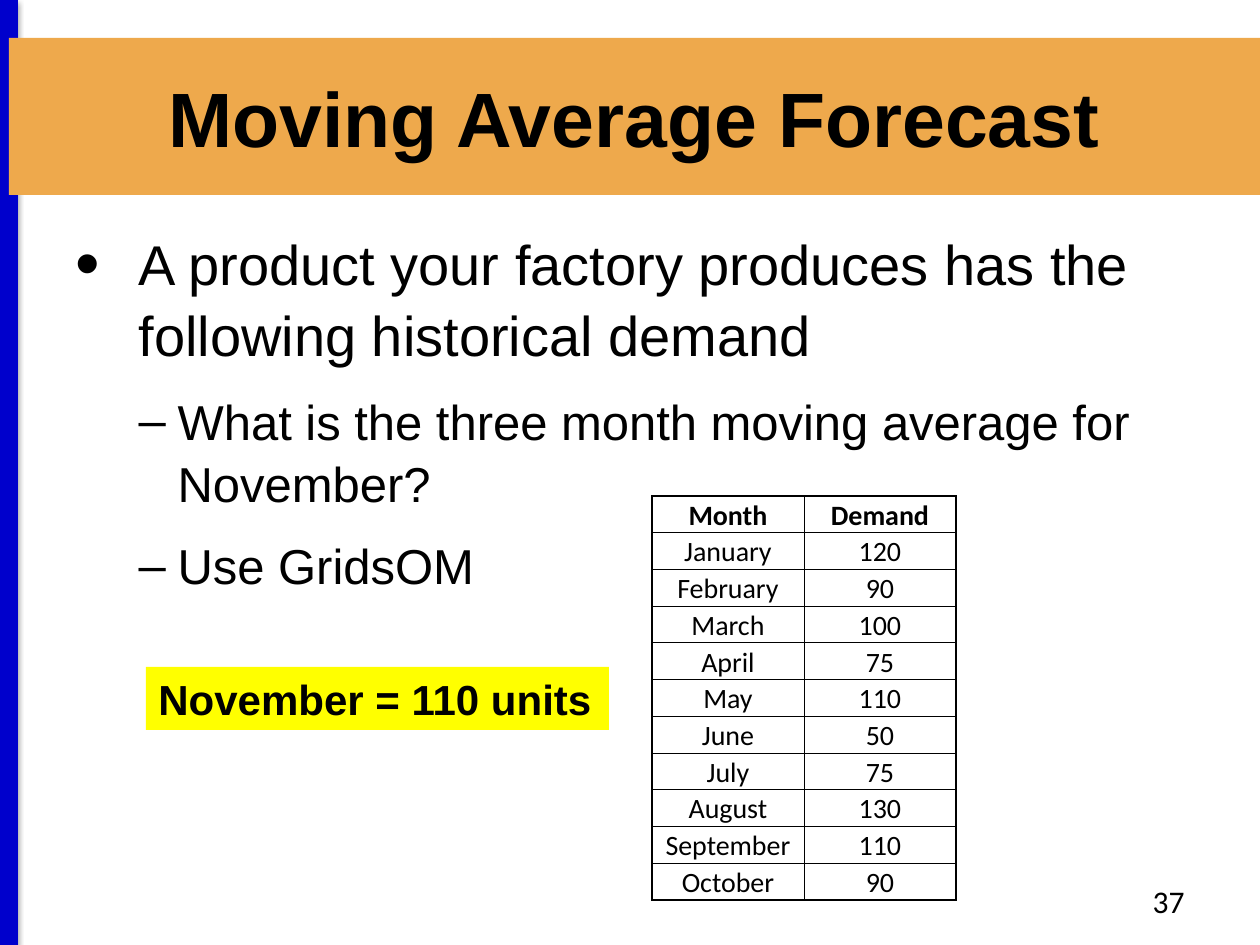
import lxml.etree
import pptx
import pptx.dml.color
import pptx.enum.shapes
import pptx.enum.text
import pptx.oxml.ns
import pptx.util

EMU_PER_PX = 914400 / 126
qn = pptx.oxml.ns.qn
Align = pptx.enum.text.PP_ALIGN
Anchor = pptx.enum.text.MSO_ANCHOR
NO_FIT = pptx.enum.text.MSO_AUTO_SIZE.NONE

THEME = {
    "text": "000000", "band": "EEA94C", "stripe": "0000CC",
    "highlight": "FFFF00", "cell": "FFFFFF",
    "heading": "Arial", "figures": "Calibri",
    "title_pt": 44, "bullet_pt": 32, "sub_pt": 28,
    "answer_pt": 24, "number_pt": 18, "table_pt": 16,
}


def px(*lengths):
    return [pptx.util.Emu(round(n * EMU_PER_PX)) for n in lengths]


def style(paragraph, face, size, bold=False, align=Align.LEFT):
    paragraph.alignment = align
    for run in paragraph.runs:
        run.font.name = THEME[face]
        run.font.size = pptx.util.Pt(THEME[size])
        run.font.bold = bold
        run.font.color.rgb = pptx.dml.color.RGBColor.from_string(THEME["text"])


deck = pptx.Presentation()
deck.slide_width, deck.slide_height = px(1260, 945)
slide = deck.slides.add_slide(deck.slide_layouts[1])
shapes = slide.shapes

# Stripe down the left edge, behind everything else
stripe = shapes.add_connector(
    pptx.enum.shapes.MSO_CONNECTOR.STRAIGHT, *px(9, 0, 9, 945))
stripe.line.width = pptx.util.Pt(10)
stripe.line.color.rgb = pptx.dml.color.RGBColor.from_string(THEME["stripe"])
effects = lxml.etree.SubElement(stripe._element.spPr, qn("a:effectLst"))
shadow = lxml.etree.SubElement(
    effects, qn("a:outerShdw"), blurRad="40000", dist="20000", dir="5400000")
shade = lxml.etree.SubElement(shadow, qn("a:srgbClr"), val=THEME["text"])
lxml.etree.SubElement(shade, qn("a:alpha"), val="38000")
shapes._spTree.insert(2, stripe._element)

# Title band
title = shapes.title
title.left, title.top, title.width, title.height = px(9, 38, 1251, 157)
title.fill.solid()
title.fill.fore_color.rgb = pptx.dml.color.RGBColor.from_string(THEME["band"])
title.text_frame.text = "Moving Average Forecast"
title.text_frame.auto_size = NO_FIT
title.text_frame.vertical_anchor = Anchor.MIDDLE
style(title.text_frame.paragraphs[0], "heading", "title_pt", True, Align.CENTER)

# Question: level, text
question = [
    (0, "A product your factory produces has the following historical demand"),
    (1, "What is the three month moving average for November?"),
    (1, "Use GridsOM"),
]
LEVELS = [("bullet_pt", 63, 63, "•", "125000"), ("sub_pt", 102, 39, "–", "100000")]
body = slide.placeholders[1]
body.left, body.top, body.width, body.height = px(63, 220, 1134, 624)
body.text_frame.text = "\n".join(text for _, text in question)
body.text_frame.auto_size = NO_FIT
for paragraph, (level, _) in zip(body.text_frame.paragraphs, question):
    size, margin, hanging, mark, mark_size = LEVELS[level]
    paragraph.level = level
    paragraph.line_spacing = 1.05
    paragraph.space_before = pptx.util.Pt(0)
    paragraph.space_after = pptx.util.Pt(12)
    properties = paragraph._p.get_or_add_pPr()
    properties.set("marL", str(px(margin)[0]))
    properties.set("indent", str(-px(hanging)[0]))
    lxml.etree.SubElement(properties, qn("a:buSzPct"), val=mark_size)
    lxml.etree.SubElement(properties, qn("a:buFont"), typeface=THEME["heading"])
    lxml.etree.SubElement(properties, qn("a:buChar"), char=mark)
    style(paragraph, "heading", size)

# Slide number
number = shapes.add_textbox(*px(903, 876, 294, 50)).text_frame
number.word_wrap = True
number.vertical_anchor = Anchor.MIDDLE
number.text = "37"
style(number.paragraphs[0], "figures", "number_pt", align=Align.RIGHT)

# Highlighted answer
answer = shapes.add_textbox(*px(146, 667, 463, 63))
answer.fill.solid()
answer.fill.fore_color.rgb = pptx.dml.color.RGBColor.from_string(THEME["highlight"])
answer.text_frame.word_wrap = False
answer.text_frame.text = "November = 110 units"
style(answer.text_frame.paragraphs[0], "heading", "answer_pt", True)

# Demand history
demand = [
    ("Month", "Demand"), ("January", 120), ("February", 90), ("March", 100),
    ("April", 75), ("May", 110), ("June", 50), ("July", 75),
    ("August", 130), ("September", 110), ("October", 90),
]
last_row = len(demand) - 1
history = shapes.add_table(len(demand), 2, *px(652, 496, 304, 404)).table
for column in history.columns:
    column.width = px(152)[0]
for r, record in enumerate(demand):
    history.rows[r].height = px(404 / len(demand))[0]
    for c, value in enumerate(record):
        cell = history.cell(r, c)
        cell.text = str(value)
        cell.vertical_anchor = Anchor.BOTTOM
        cell.margin_left = cell.margin_right = cell.margin_top = cell.margin_bottom = 0
        style(cell.text_frame.paragraphs[0], "figures", "table_pt", r == 0, Align.CENTER)
        # Borders come before the fill: thick outside, thin inside
        edges = {"lnL": c == 0, "lnR": c == 1, "lnT": r == 0, "lnB": r == last_row}
        for edge, outer in edges.items():
            border = lxml.etree.SubElement(
                cell._tc.get_or_add_tcPr(), qn("a:" + edge), w="12700" if outer else "6350")
            ink = lxml.etree.SubElement(border, qn("a:solidFill"))
            lxml.etree.SubElement(ink, qn("a:srgbClr"), val=THEME["text"])
        cell.fill.solid()
        cell.fill.fore_color.rgb = pptx.dml.color.RGBColor.from_string(THEME["cell"])

deck.save("out.pptx")
